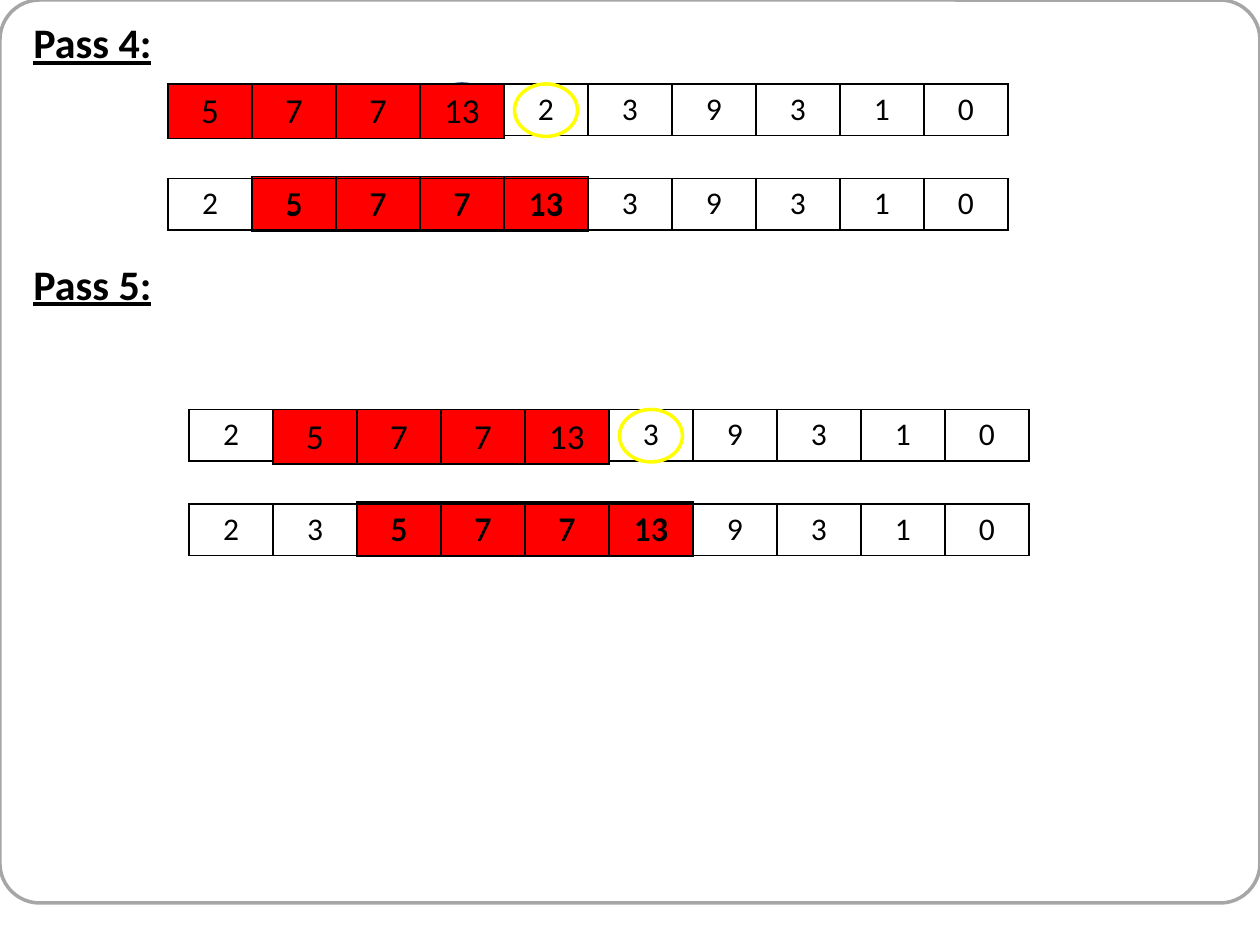
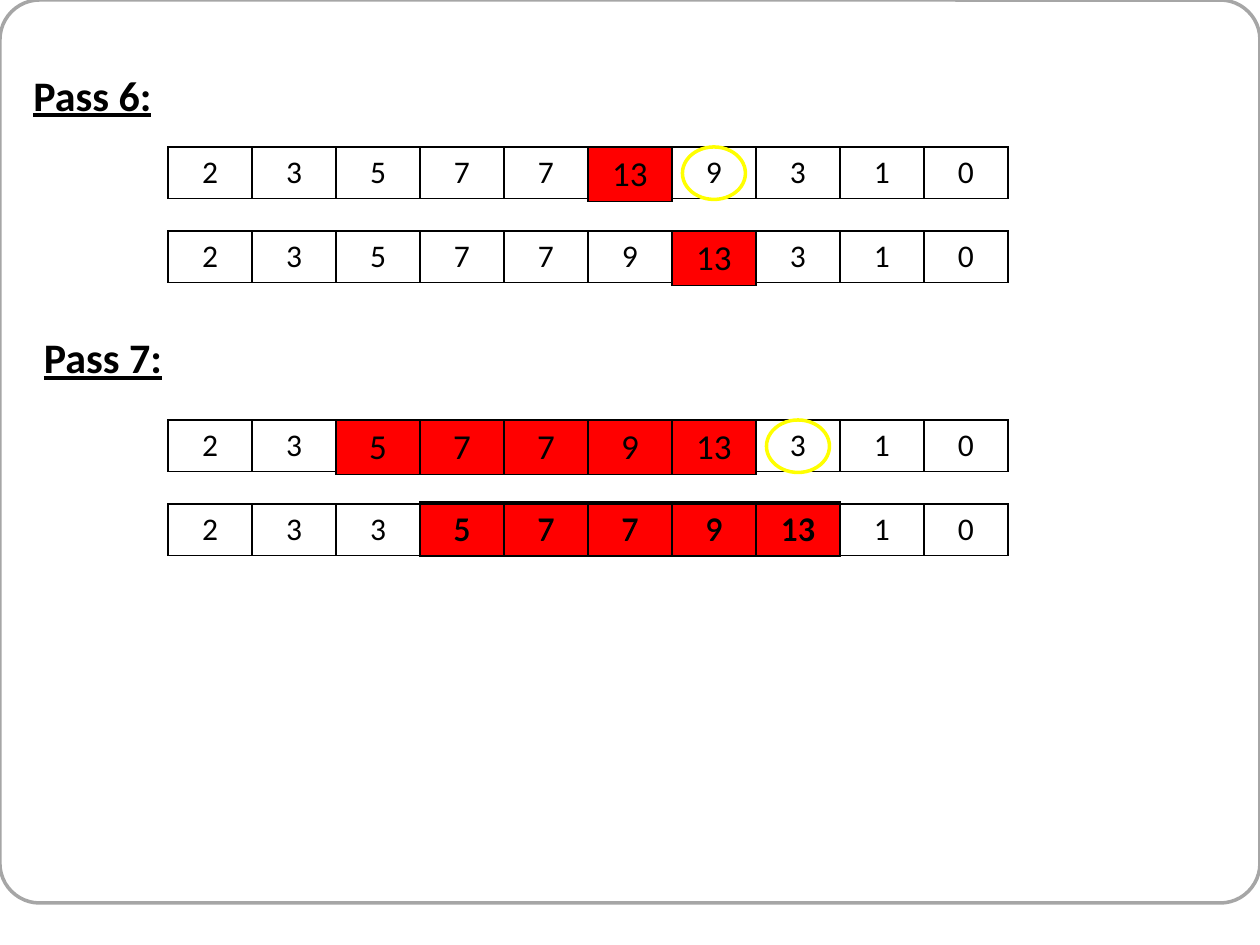
from dataclasses import dataclass, field
from typing import Optional

from lxml import etree
from pptx import Presentation
from pptx.dml.color import RGBColor
from pptx.enum.shapes import MSO_SHAPE
from pptx.enum.text import MSO_AUTO_SIZE, PP_ALIGN
from pptx.oxml.ns import qn
from pptx.util import Inches, Pt

ROUND = MSO_SHAPE.ROUNDED_RECTANGLE
OVAL = MSO_SHAPE.OVAL
GROW = MSO_AUTO_SIZE.SHAPE_TO_FIT_TEXT
MID = PP_ALIGN.CENTER


@dataclass(frozen=True)
class Theme:
    font: str = "Calibri"
    ink: str = "000000"
    red: str = "FF0000"
    frame: str = "A6A6A6"
    pick: str = "FFFF00"
    mark: str = "3A5F8C"
    head: int = 24
    block: int = 20
    cell: int = 18
    rule: int = 1
    edge: int = 2


@dataclass(frozen=True)
class Row:
    """One state of the list; the sorted block spans cells first to last."""
    left: float
    top: float
    text: str
    first: int
    last: int
    pick: Optional[int] = None
    mark: Optional[int] = None
    under: bool = False  # block lies beneath the row


@dataclass(frozen=True)
class Step:
    title: str
    left: float
    top: float
    rows: list[Row] = field(default_factory=list)


THEME = Theme()
COLS = 120  # grid units across the slide
CELL = 8    # width of a table cell in grid units
HIGH = 4.9  # height of a table row
LIFT = 0.2  # rise of a block that lies beneath its row

deck = Presentation()
deck.slide_width, deck.slide_height = Inches(10), Inches(7.5)
UNIT = deck.slide_width / COLS


def grid(*vals: float) -> list[int]:
    return [round(val * UNIT) for val in vals]


def style(run, size: int, bold: bool = False) -> None:
    font = run.font
    font.name, font.size = THEME.font, Pt(size)
    font.bold, font.underline = bold, bold
    font.color.rgb = RGBColor.from_string(THEME.ink)


def outline(slide, kind, box: tuple, color: str):
    shape = slide.shapes.add_shape(kind, *grid(*box))
    shape.shadow.inherit = False
    shape.fill.background()
    shape.line.color.rgb = RGBColor.from_string(color)
    shape.line.width = Pt(THEME.edge)
    return shape


def border(cell) -> None:
    props = cell._tc.get_or_add_tcPr()
    for spot, side in enumerate(("lnL", "lnR", "lnT", "lnB")):
        line = etree.Element(qn("a:" + side), w=str(Pt(THEME.rule)))
        fill = etree.SubElement(line, qn("a:solidFill"))
        etree.SubElement(fill, qn("a:srgbClr"), val=THEME.ink)
        props.insert(spot, line)


def strip(slide, left: float, top: float, vals: list[str], size: int,
          color: Optional[str] = None) -> None:
    box = grid(left, top, CELL * len(vals), HIGH)
    table = slide.shapes.add_table(1, len(vals), *box).table
    table.first_row = table.horz_banding = False
    for cell, val in zip(table.iter_cells(), vals):
        cell.text_frame.text = val
        para = cell.text_frame.paragraphs[0]
        para.alignment = MID
        style(para.runs[0], size)
        if color:
            cell.fill.solid()
            cell.fill.fore_color.rgb = RGBColor.from_string(color)
        else:
            cell.fill.background()
        border(cell)


def ring(slide, row: Row, spot: int, color: str) -> None:
    outline(slide, OVAL, (row.left + CELL * spot + 1, row.top, 6, 5), color)


def block(slide, row: Row) -> None:
    top = row.top - LIFT if row.under else row.top
    vals = row.text.split()[row.first:row.last + 1]
    strip(slide, row.left + CELL * row.first, top, vals, THEME.block, THEME.red)


def draw(slide, row: Row) -> None:
    if row.under:
        block(slide, row)
    strip(slide, row.left, row.top, row.text.split(), THEME.cell)
    if row.pick is not None:
        ring(slide, row, row.pick, THEME.pick)
    if row.mark is not None:
        ring(slide, row, row.mark, THEME.mark)
    if not row.under:
        block(slide, row)


def title(slide, step: Step) -> None:
    box = slide.shapes.add_textbox(*grid(step.left, step.top, 21, 6))
    frame = box.text_frame
    frame.word_wrap, frame.auto_size = True, GROW
    frame.text = step.title
    style(frame.paragraphs[0].runs[0], THEME.head, bold=True)


def page(steps: list[Step]) -> None:
    slide = deck.slides.add_slide(deck.slide_layouts[6])
    outline(slide, ROUND, (0, 0, COLS, 86), THEME.frame).adjustments[0] = 0.044
    for step in steps:
        title(slide, step)
        for row in step.rows:
            draw(slide, row)


# Passes 4 and 5
page([
    Step("Pass 4:", 2, 1, [
        Row(16, 8, "5 7 7 13 2 3 9 3 1 0", 0, 3, pick=4, mark=3),
        Row(16, 17, "2 5 7 7 13 3 9 3 1 0", 1, 4, under=True),
    ]),
    Step("Pass 5:", 2, 24, [
        Row(18, 39, "2 5 7 7 13 3 9 3 1 0", 1, 4, pick=5),
        Row(18, 48, "2 3 5 7 7 13 9 3 1 0", 2, 5, under=True),
    ]),
])

# Passes 6 and 7
page([
    Step("Pass 6:", 2, 6, [
        Row(16, 14, "2 3 5 7 7 13 9 3 1 0", 5, 5, pick=6),
        Row(16, 22, "2 3 5 7 7 9 13 3 1 0", 6, 6),
    ]),
    Step("Pass 7:", 3, 31, [
        Row(16, 40, "2 3 5 7 7 9 13 3 1 0", 2, 6, pick=7),
        Row(16, 48, "2 3 3 5 7 7 9 13 1 0", 3, 7, under=True),
    ]),
])

deck.save("out.pptx")
